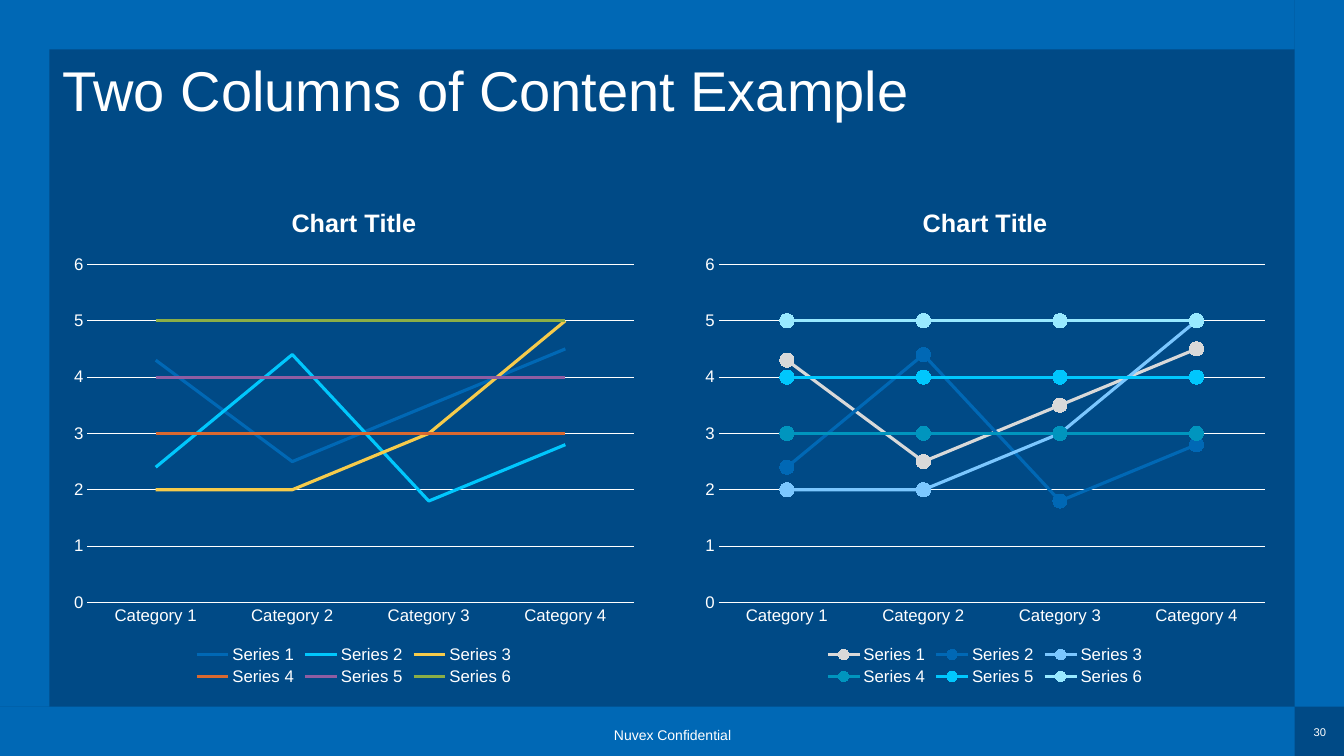
from pptx import Presentation
from pptx.chart.data import CategoryChartData
from pptx.dml.color import RGBColor
from pptx.enum.chart import XL_CHART_TYPE, XL_LEGEND_POSITION, XL_MARKER_STYLE, XL_TICK_MARK
from pptx.enum.shapes import MSO_SHAPE
from pptx.enum.text import MSO_ANCHOR, PP_ALIGN
from pptx.util import Inches, Pt

FONT = "Arial"
COLORS = {
    "navy": "004A86", "blue": "0068B5", "white": "FFFFFF", "cyan": "00C7FD",
    "gold": "F6CB4B", "rust": "D96930", "plum": "8F5DA2", "moss": "8BAE46",
    "grey": "D9D9D9", "sky": "7BC7FF", "teal": "0095BE", "ice": "98E9FF",
}
CATS = [f"Category {n}" for n in range(1, 5)]
ROWS = [
    (4.3, 2.5, 3.5, 4.5), (2.4, 4.4, 1.8, 2.8), (2, 2, 3, 5),
    (3, 3, 3, 3), (4, 4, 4, 4), (5, 5, 5, 5),
]
BAND = 0.49
WIDE, HIGH = 13.33, 7.5


def color(name):
    return RGBColor.from_string(COLORS[name])


def style(font, size, bold=False):
    font.name = FONT
    font.size = Pt(size)
    font.bold = bold
    font.color.rgb = color("white")


def write(frame, text, size=10, align=PP_ALIGN.LEFT, anchor=MSO_ANCHOR.TOP,
          wrap=False, space=1.0, bold=False):
    frame.margin_left = frame.margin_right = 0
    frame.margin_top = frame.margin_bottom = 0
    frame.word_wrap = wrap
    frame.vertical_anchor = anchor
    para = frame.paragraphs[0]
    para.alignment = align
    para.line_spacing = space
    run = para.add_run()
    run.text = text
    style(run.font, size, bold)


def add_band(slide, *box):
    band = slide.shapes.add_shape(MSO_SHAPE.RECTANGLE, *map(Inches, box))
    band.shadow.inherit = False
    band.fill.solid()
    band.fill.fore_color.rgb = color("blue")
    band.line.fill.background()


def add_label(slide, box, text, **look):
    label = slide.shapes.add_textbox(*map(Inches, box))
    write(label.text_frame, text, align=PP_ALIGN.CENTER,
          anchor=MSO_ANCHOR.MIDDLE, **look)


def rule(line):
    line.color.rgb = color("white")
    line.width = Pt(0.75)


def format_axes(chart):
    for axis in (chart.category_axis, chart.value_axis):
        axis.major_tick_mark = XL_TICK_MARK.NONE
        axis.minor_tick_mark = XL_TICK_MARK.NONE
        style(axis.tick_labels.font, 12)
    rule(chart.category_axis.format.line)
    scale = chart.value_axis
    scale.minimum_scale, scale.maximum_scale, scale.major_unit = 0, 6, 1
    scale.format.line.fill.background()
    scale.has_major_gridlines = True
    rule(scale.major_gridlines.format.line)


def format_line(line, tone, marked, width):
    line.smooth = False
    line.format.line.color.rgb = color(tone)
    line.format.line.width = Pt(width)
    marker = line.marker
    if not marked:
        marker.style = XL_MARKER_STYLE.NONE
        return
    marker.style = XL_MARKER_STYLE.CIRCLE
    marker.size = 10
    marker.format.fill.solid()
    marker.format.fill.fore_color.rgb = color(tone)
    marker.format.line.fill.background()


def add_lines(slide, left, tones, marked=False, last=2.25):
    data = CategoryChartData()
    data.categories = CATS
    for num, row in enumerate(ROWS, 1):
        data.add_series(f"Series {num}", row)
    kind = XL_CHART_TYPE.LINE_MARKERS if marked else XL_CHART_TYPE.LINE
    box = map(Inches, (left, 1.85, 5.78, 4.99))
    chart = slide.shapes.add_chart(kind, *box, data).chart
    style(chart.font, 10)
    chart.has_title = True
    chart.chart_title.include_in_layout = False
    run = chart.chart_title.text_frame.paragraphs[0].add_run()
    run.text = "Chart Title"
    style(run.font, 18, bold=True)
    chart.has_legend = True
    chart.legend.position = XL_LEGEND_POSITION.BOTTOM
    chart.legend.include_in_layout = False
    style(chart.legend.font, 12)
    format_axes(chart)
    plot = chart.plots[0]
    plot.vary_by_categories = False
    widths = [2.25] * (len(tones) - 1) + [last]
    for line, tone, width in zip(plot.series, tones, widths):
        format_line(line, tone, marked, width)


def main():
    deck = Presentation()
    deck.slide_width, deck.slide_height = Inches(WIDE), Inches(HIGH)
    slide = deck.slides.add_slide(deck.slide_layouts[5])
    slide.background.fill.solid()
    slide.background.fill.fore_color.rgb = color("navy")

    right, base = WIDE - BAND, HIGH - BAND
    add_band(slide, 0, base, right, BAND)
    add_band(slide, right, 0, BAND, base)
    add_band(slide, 0, 0, right, BAND)
    add_band(slide, 0, 0, BAND, base)
    add_label(slide, (6.02, 7.18, 1.3, 0.25), "Nuvex Confidential", space=0.9)
    add_label(slide, (13.02, 7.2, 0.14, 0.13), "30", size=8)

    title = slide.shapes.title
    title.left, title.top = Inches(0.62), Inches(0.63)
    title.width, title.height = Inches(12.04), Inches(1.04)
    write(title.text_frame, "Two Columns of Content Example", size=40,
          wrap=True, space=0.9)

    add_lines(slide, 0.62, ["blue", "cyan", "gold", "rust", "plum", "moss"])
    add_lines(slide, 6.88, ["grey", "blue", "sky", "teal", "cyan", "ice"],
              marked=True, last=2)
    deck.save("out.pptx")


if __name__ == "__main__":
    main()
